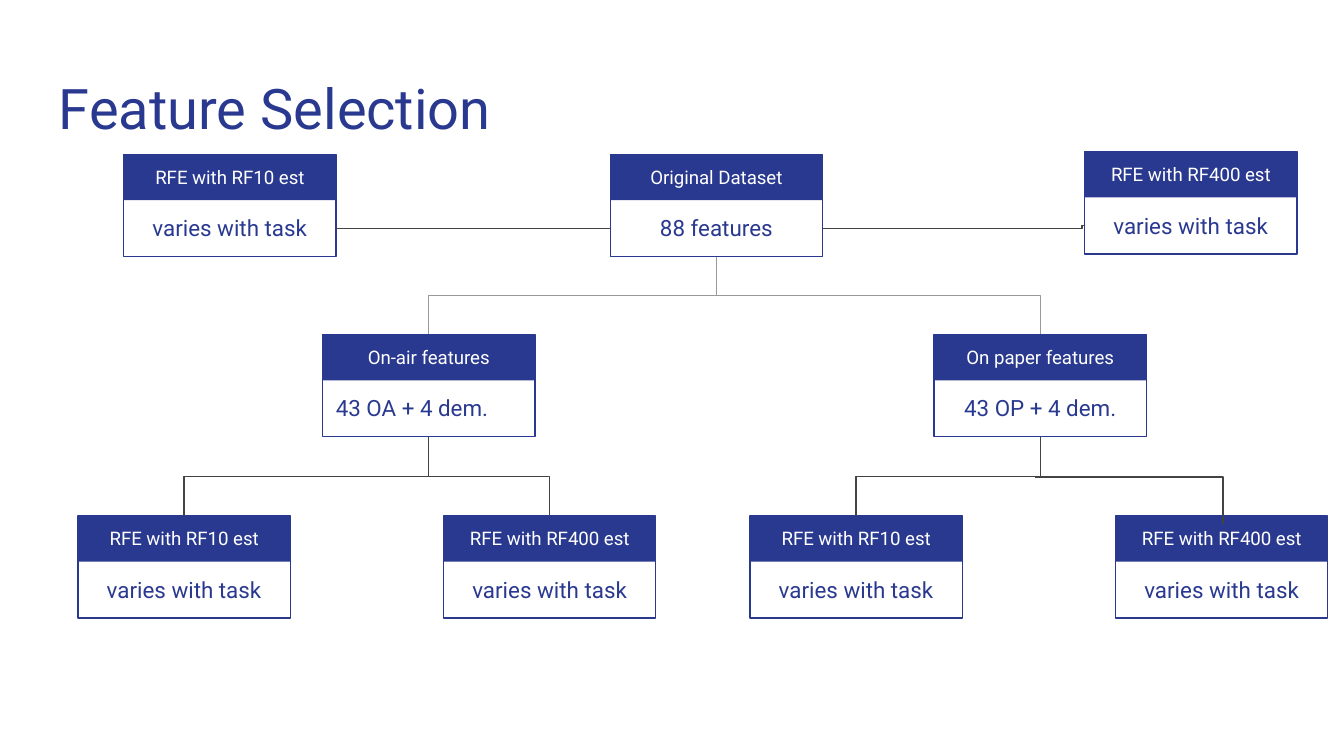
from lxml.etree import SubElement
from pptx import Presentation
from pptx.dml.color import RGBColor
from pptx.enum.shapes import MSO_CONNECTOR, MSO_SHAPE
from pptx.enum.text import MSO_ANCHOR, PP_ALIGN
from pptx.oxml.ns import qn
from pptx.util import Inches, Pt

NAVY, WHITE, GREY, DARK = "2A3990", "FFFFFF", "999999", "434343"
CARD_WIDTH, CARD_HEIGHT, HEADER_HEIGHT = 1.58, 0.76, 0.34
TOP_ROW, MIDDLE_ROW, BOTTOM_ROW = 1.15, 2.49, 3.84
DATASET_X, ON_AIR_X, ON_PAPER_X = 4.54, 2.4, 6.95
VARIES = "varies with task"
RF10, RF400 = "RFE with RF10 est", "RFE with RF400 est"


def color(hex_value):
    return RGBColor.from_string(hex_value)


def apply_format(target, values):
    for name, value in values.items():
        setattr(target, name, value)


def add_text(slide, text, x, y, width, height, size, hex_value,
             align=PP_ALIGN.CENTER, anchor=MSO_ANCHOR.MIDDLE):
    label = slide.shapes.add_textbox(Inches(x), Inches(y), Inches(width), Inches(height))
    inset = Inches(0.1)
    apply_format(label.text_frame, {
        "word_wrap": True, "vertical_anchor": anchor,
        "margin_left": inset, "margin_right": inset,
        "margin_top": inset, "margin_bottom": inset,
    })
    paragraph = label.text_frame.paragraphs[0]
    paragraph.alignment = align
    run = paragraph.add_run()
    run.text = text
    apply_format(run.font, {"name": "Roboto", "size": Pt(size)})
    run.font.color.rgb = color(hex_value)


def add_rectangle(slide, x, y, height, fill=None, line=None):
    rectangle = slide.shapes.add_shape(
        MSO_SHAPE.RECTANGLE, Inches(x), Inches(y), Inches(CARD_WIDTH), Inches(height))
    rectangle.shadow.inherit = False
    if fill:
        rectangle.fill.solid()
        rectangle.fill.fore_color.rgb = color(fill)
    else:
        rectangle.fill.background()
    if line:
        rectangle.line.color.rgb = color(line)
        rectangle.line.width = Pt(0.75)
    else:
        rectangle.line.fill.background()


def add_card(slide, x, y, heading, value, value_align=PP_ALIGN.CENTER):
    add_rectangle(slide, x, y, CARD_HEIGHT, line=NAVY)
    add_rectangle(slide, x, y, HEADER_HEIGHT, fill=NAVY)
    add_text(slide, heading, x, y + 0.06, CARD_WIDTH, 0.21, 10, WHITE)
    add_text(slide, value, x, y + 0.44, CARD_WIDTH, 0.21, 12, NAVY, value_align)


def add_elbow(slide, start, end, hex_value):
    elbow = slide.shapes.add_connector(
        MSO_CONNECTOR.ELBOW, *(Inches(value) for value in (*start, *end)))
    elbow.line.color.rgb = color(hex_value)
    elbow.line.width = Pt(0.75)
    SubElement(elbow._element.spPr, qn("a:effectLst"))
    return elbow


def add_branch(slide, parent_x, parent_y, child_x, child_y, hex_value):
    start_x, end_x = parent_x + CARD_WIDTH / 2, child_x + CARD_WIDTH / 2
    start_y = parent_y + CARD_HEIGHT
    center_x, center_y = (start_x + end_x) / 2, (start_y + child_y) / 2
    half_drop, half_span = (child_y - start_y) / 2, abs(end_x - start_x) / 2
    goes_right = end_x > start_x
    side = -1 if goes_right else 1
    elbow = add_elbow(
        slide,
        (center_x - side * half_drop, center_y - half_span),
        (center_x + side * half_drop, center_y + half_span),
        hex_value)
    degrees = 270 if goes_right else 90
    elbow._element.spPr.find(qn("a:xfrm")).set("rot", str(degrees * 60000))


def add_corner(slide, start, end, hex_value):
    corner = add_elbow(slide, start, end, hex_value)
    corner._element.spPr.find(qn("a:prstGeom")).set("prst", "bentConnector2")


def add_step(slide, start, end, bend, hex_value):
    step = add_elbow(slide, start, end, hex_value)
    guides = step._element.spPr.find(qn("a:prstGeom")).find(qn("a:avLst"))
    SubElement(guides, qn("a:gd"), name="adj1", fmla=f"val {round(bend * 100000)}")


def main():
    presentation = Presentation()
    presentation.slide_width = Inches(10)
    presentation.slide_height = Inches(10) * 9 // 16
    slide = presentation.slides.add_slide(presentation.slide_layouts[6])

    add_text(slide, "Feature Selection", 0.34, 0.45, 9.32, 0.66, 30, NAVY,
             PP_ALIGN.LEFT, MSO_ANCHOR.TOP)

    for child_x in (ON_AIR_X, ON_PAPER_X):
        add_branch(slide, DATASET_X, TOP_ROW, child_x, MIDDLE_ROW, GREY)

    cards = [
        (DATASET_X, TOP_ROW, "Original Dataset", "88 features"),
        (ON_AIR_X, MIDDLE_ROW, "On-air features", "43 OA + 4 dem.", PP_ALIGN.LEFT),
        (0.58, BOTTOM_ROW, RF10, VARIES),
        (3.3, BOTTOM_ROW, RF400, VARIES),
        (ON_PAPER_X, MIDDLE_ROW, "On paper features", "43 OP + 4 dem."),
        (5.58, BOTTOM_ROW, RF10, VARIES),
        (8.3, BOTTOM_ROW, RF400, VARIES),
        (0.92, TOP_ROW, RF10, VARIES),
        (8.07, 1.13, RF400, VARIES),
    ]
    for card in cards:
        add_card(slide, *card)

    for parent_x, child_x in ((ON_AIR_X, 0.58), (ON_AIR_X, 3.3), (ON_PAPER_X, 5.58)):
        add_branch(slide, parent_x, MIDDLE_ROW, child_x, BOTTOM_ROW, DARK)
    add_corner(slide, (7.7, 3.55), (9.1, 3.9), DARK)
    add_elbow(slide, (DATASET_X, 1.7), (2.5, 1.7), DARK)
    add_step(slide, (8.07, 1.68), (6.12, 1.7), 0.01, DARK)

    presentation.save("out.pptx")


if __name__ == "__main__":
    main()
